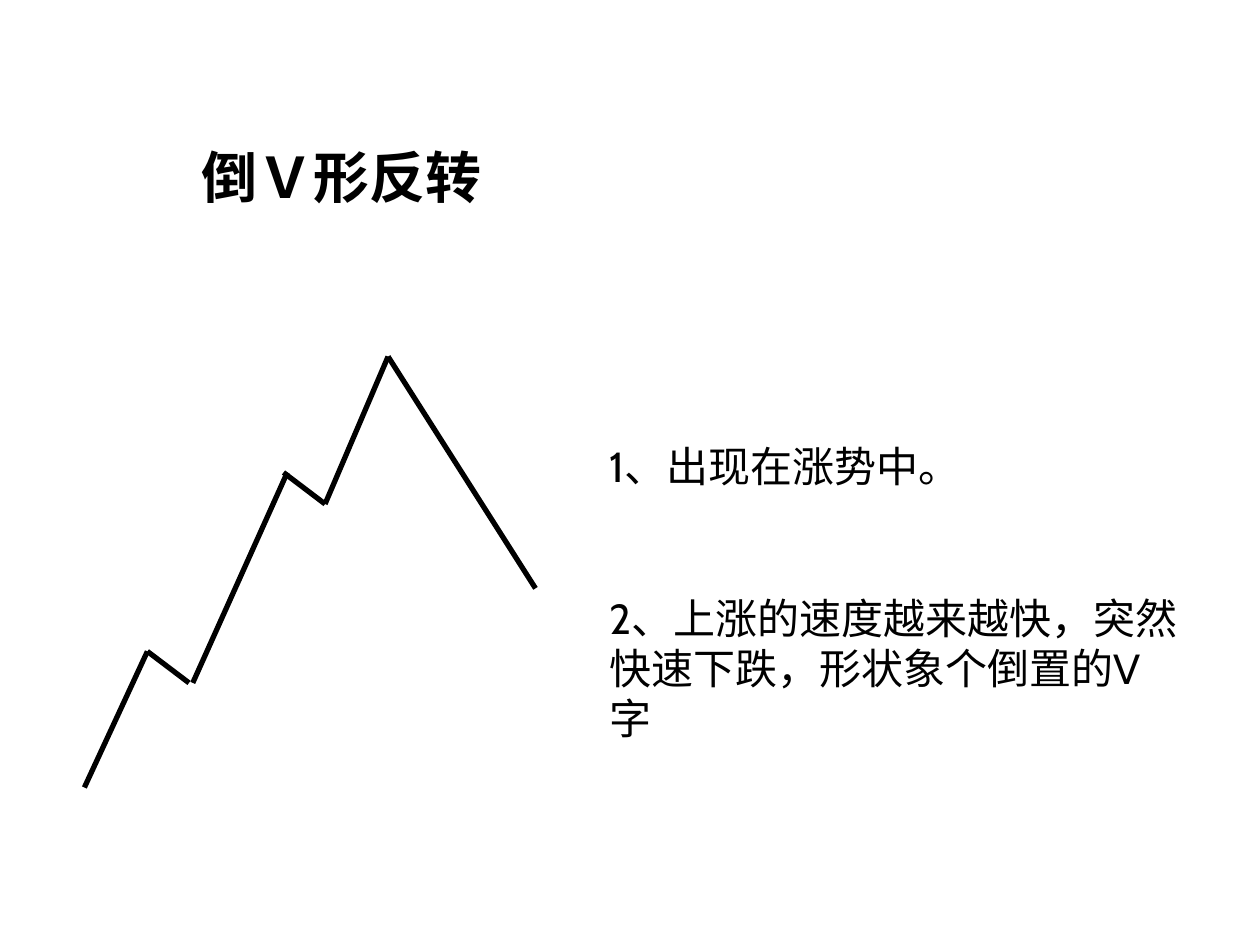
from pptx import Presentation
from pptx import util as u
from pptx.dml.color import RGBColor
from pptx.enum import shapes, text
from pptx.oxml.ns import qn
from lxml import etree

FONT = "Cabin"
INK = "000000"


def paint(code):
    return RGBColor.from_string(code)


def place(shape, box):
    shape.left, shape.top, shape.width, shape.height = map(u.Inches, box)


def write(shape, lines, size, bold=False, color=INK, gaps=()):
    """Fill a shape with paragraphs; gaps gives the space before each."""
    frame = shape.text_frame
    frame.word_wrap = True
    frame.auto_size = text.MSO_AUTO_SIZE.SHAPE_TO_FIT_TEXT
    frame.vertical_anchor = text.MSO_ANCHOR.TOP
    frame.text = "\n".join(lines)
    for para in frame.paragraphs:
        para.alignment = text.PP_ALIGN.LEFT
        para.space_before = u.Pt(0)
        for run in para.runs:
            font = run.font
            font.name, font.size, font.bold = FONT, u.Pt(size), bold
            font.color.rgb = paint(color)
    for para, gap in zip(frame.paragraphs, gaps):
        para.space_before = u.Pt(gap)


def head(slide, box):
    title = slide.shapes.title
    place(title, box)
    write(title, ["倒Ｖ形反转"], 32, bold=True)


def trend(slide, left, top):
    """Draw the price path: three rising legs, then a sharp fall."""
    legs = [
        ((0, 3.42), (0.5, 2.34)),
        ((0.5, 2.34), (0.83, 2.59)),
        ((0.86, 2.59), (1.61, 0.92)),
        ((1.58, 0.92), (1.91, 1.17)),
        ((1.91, 1.17), (2.41, 0)),
        ((2.41, 0), (3.58, 1.84)),
    ]
    for (x1, y1), (x2, y2) in legs:
        leg = slide.shapes.add_connector(
            shapes.MSO_CONNECTOR.STRAIGHT,
            u.Inches(left + x1), u.Inches(top + y1),
            u.Inches(left + x2), u.Inches(top + y2))
        leg.line.color.rgb = paint(INK)
        leg.line.width = u.Pt(3)
        etree.SubElement(leg._element.spPr, qn("a:effectLst"))


def notes(slide, box):
    area = slide.shapes.add_textbox(*map(u.Inches, box))
    lines = ["1、出现在涨势中。",
             "2、上涨的速度越来越快，突然",
             "快速下跌，形状象个倒置的V字"]
    write(area, lines, 24, gaps=(0, 57.6, 0))


def main():
    deck = Presentation()
    deck.slide_width, deck.slide_height = u.Inches(10), u.Inches(7.5)
    slide = deck.slides.add_slide(deck.slide_layouts[5])
    trend(slide, 0.67, 2.83)
    head(slide, (1.5, 1.08, 3.5, 0.63))
    notes(slide, (4.74, 3.45, 4.73, 2.1))
    deck.save("out.pptx")


if __name__ == "__main__":
    main()
